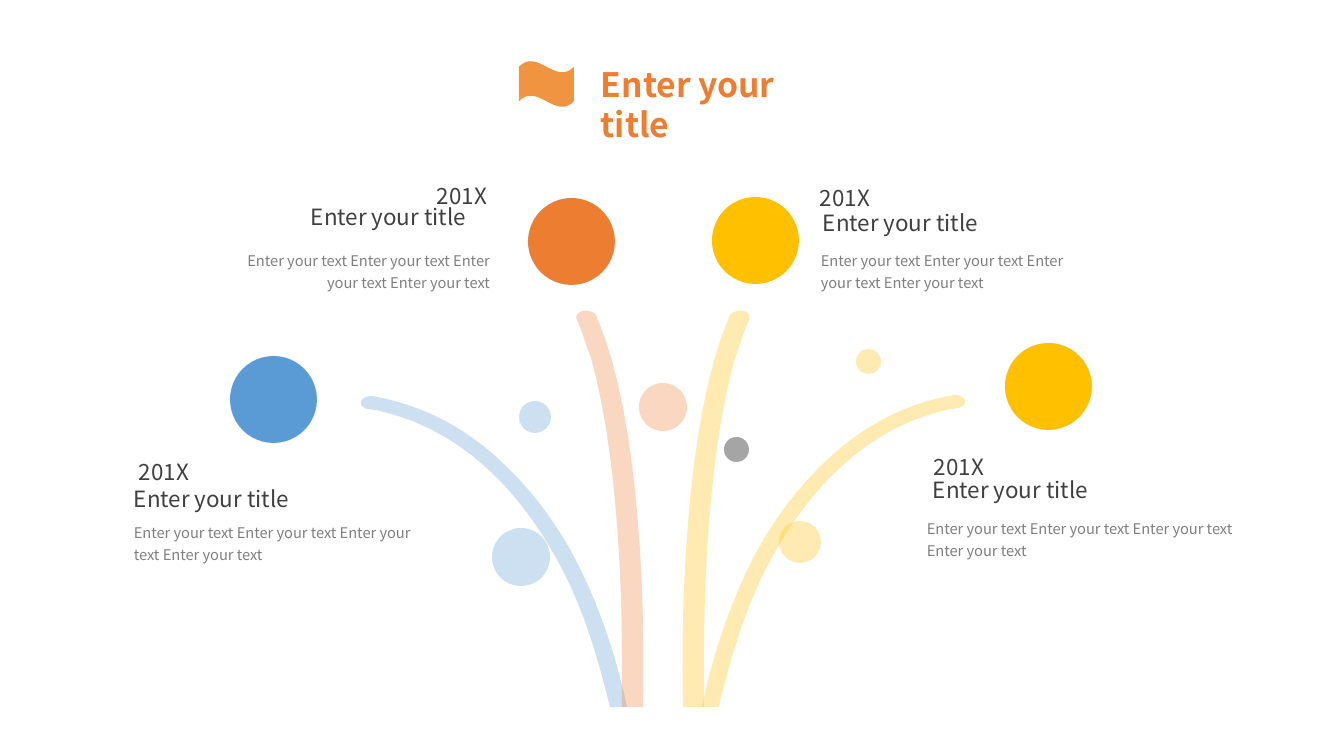
from pptx import Presentation
from pptx.dml.color import RGBColor
from pptx.enum.shapes import MSO_SHAPE
from pptx.enum.text import MSO_ANCHOR, MSO_AUTO_SIZE, PP_ALIGN
from pptx.oxml import parse_xml
from pptx.oxml.ns import nsdecls
from pptx.util import Pt

WAVE, OVAL = MSO_SHAPE.WAVE, MSO_SHAPE.OVAL
LEFT, RIGHT = PP_ALIGN.LEFT, PP_ALIGN.RIGHT
TOP, GROW = MSO_ANCHOR.TOP, MSO_AUTO_SIZE.SHAPE_TO_FIT_TEXT

WIDE, HIGH = 1344, 756
PX = 12192000 / WIDE
FONT = "Noto Sans CJK SC"
COLORS = {
    "blue": "5B9BD5", "orange": "ED7D31", "gold": "FFC000", "grey": "A5A5A5",
    "flag": "F09442", "rim": "A4E2FE", "dark": "404040", "soft": "808080",
}
FAINT = 30
DISC = 87
STEPS = 16
BODY = "Enter your text Enter your text Enter your text Enter your text"

# Each stem: its size, its start, then cubic curves (two controls and an end).
OUTER = (267, 312), (267, 311), [
    ((261, 282), (249, 236), (227, 187)),
    ((206, 140), (178, 101), (148, 72)),
    ((109, 33), (64, 9), (12, 0)),
    ((7, 0), (3, 2), (1, 5)),
    ((0, 9), (3, 12), (8, 13)),
    ((10, 13), (13, 14), (16, 14)),
    ((119, 36), (178, 121), (211, 191)),
    ((232, 238), (243, 283), (250, 311)),
]
INNER = (68, 398), (68, 397), [
    ((70, 317), (68, 112), (21, 5)),
    ((19, 2), (13, 0), (8, 1)),
    ((3, 2), (0, 6), (2, 10)),
    ((7, 21), (11, 35), (16, 48)),
    ((41, 137), (47, 265), (47, 348)),
    ((47, 367), (47, 384), (47, 397)),
]

# Box, outline, colour, mirrored
STEMS = [
    ((360, 396, 267, 312), OUTER, "blue", False),
    ((702, 395, 264, 313), OUTER, "gold", True),
    ((575, 310, 68, 398), INNER, "orange", False),
    ((683, 310, 68, 398), INNER, "gold", True),
]

# Box of the words, then places inside it: disc, year, title, body
ITEMS = [
    ((124, 453, 319), (106, -97), (5, 0), (0, 34, 207), 61, "blue", True, LEFT),
    ((917, 448, 328), (88, -105), (7, 0), (6, 31, 226), 62, "gold", True, LEFT),
    ((206, 177, 294), (322, 21), (221, 0), (95, 28, 222), 65, "orange", True, RIGHT),
    ((811, 179, 292), (-99, 18), (-1, 0), (2, 32, 228), 63, "gold", False, LEFT),
]

# Left, top, size, colour, opacity
DOTS = [
    (492, 528, 58, "blue", FAINT),
    (724, 437, 25, "grey", 100),
    (639, 383, 48, "orange", FAINT),
    (779, 521, 42, "gold", FAINT),
    (856, 349, 25, "gold", FAINT),
    (519, 401, 32, "blue", FAINT),
]


def emu(*vals):
    return [round(v * PX) for v in vals]


def rgb(name):
    return RGBColor.from_string(COLORS[name])


def fade(fill, part):
    """Make a solid fill part per cent opaque."""
    color = fill._xPr.find(".//{*}solidFill")[0]
    color.append(parse_xml(f'<a:alpha {nsdecls("a")} val="{part * 1000}"/>'))


def paint(shape, color, part=100, rim=False):
    shape.shadow.inherit = False
    shape.fill.solid()
    shape.fill.fore_color.rgb = rgb(color)
    if part < 100:
        fade(shape.fill, part)
    if rim:
        shape.line.width = Pt(0.25)
        shape.line.color.rgb = rgb("rim")
        fade(shape.line.fill, FAINT)
    else:
        shape.line.fill.background()


def write(slide, box, text, size, color, space=1.0, align=LEFT, bold=False):
    frame = slide.shapes.add_textbox(*emu(*box)).text_frame
    frame.word_wrap = True
    frame.auto_size = GROW
    frame.vertical_anchor = TOP
    para = frame.paragraphs[0]
    para.alignment = align
    para.line_spacing = space
    run = para.add_run()
    run.text = text
    font = run.font
    font.name, font.size, font.bold = FONT, Pt(size), bold
    font.color.rgb = rgb(color)


def header(slide, box):
    x, y, w, h = box
    flag = slide.shapes.add_shape(WAVE, *emu(x, y + 2, 55, 46))
    paint(flag, "flag")
    write(slide, (x + 72, y, w - 72, h), "Enter your title", 24, "orange", bold=True)


def trace(start, curves):
    """Return the points along a chain of cubic curves."""
    points = [start]
    for curve in curves:
        knots = list(zip(points[-1], *curve))
        for step in range(1, STEPS + 1):
            t = step / STEPS
            u = 1 - t
            points.append(tuple(
                a * u**3 + 3 * b * u * u * t + 3 * c * u * t * t + d * t**3
                for a, b, c, d in knots))
    return points


def stem(slide, box, form, color, flip):
    x, y, w, h = box
    (wide, high), start, curves = form
    points = []
    for px, py in trace(start, curves):
        part = 1 - px / wide if flip else px / wide
        points.append(emu(x + w * part, y + h * py / high))
    path = slide.shapes.build_freeform(*points[0], scale=1.0)
    path.add_line_segments(points[1:], close=True)
    paint(path.convert_to_shape(), color, FAINT)


def item(slide, box, disc, year, title, drop, color, rim, align):
    x, y, w = box
    oval = slide.shapes.add_shape(OVAL, *emu(x + disc[0], y + disc[1], DISC, DISC))
    paint(oval, color, rim=rim)
    write(slide, (x + year[0], y + year[1], 78, 37), "201X", 16, "dark")
    write(slide, (x, y + drop, w, 54), BODY, 10.5, "soft", 1.25, align)
    write(slide, (x + title[0], y + title[1], title[2], 29),
          "Enter your title", 16, "dark", 0.7)


def dot(slide, x, y, size, color, part):
    paint(slide.shapes.add_shape(OVAL, *emu(x, y, size, size)), color, part)


def main():
    deck = Presentation()
    deck.slide_width, deck.slide_height = emu(WIDE, HIGH)
    slide = deck.slides.add_slide(deck.slide_layouts[6])
    header(slide, (519, 59, 334, 50))
    for row in STEMS:
        stem(slide, *row)
    for row in ITEMS:
        item(slide, *row)
    for row in DOTS:
        dot(slide, *row)
    deck.save("out.pptx")


if __name__ == "__main__":
    main()
